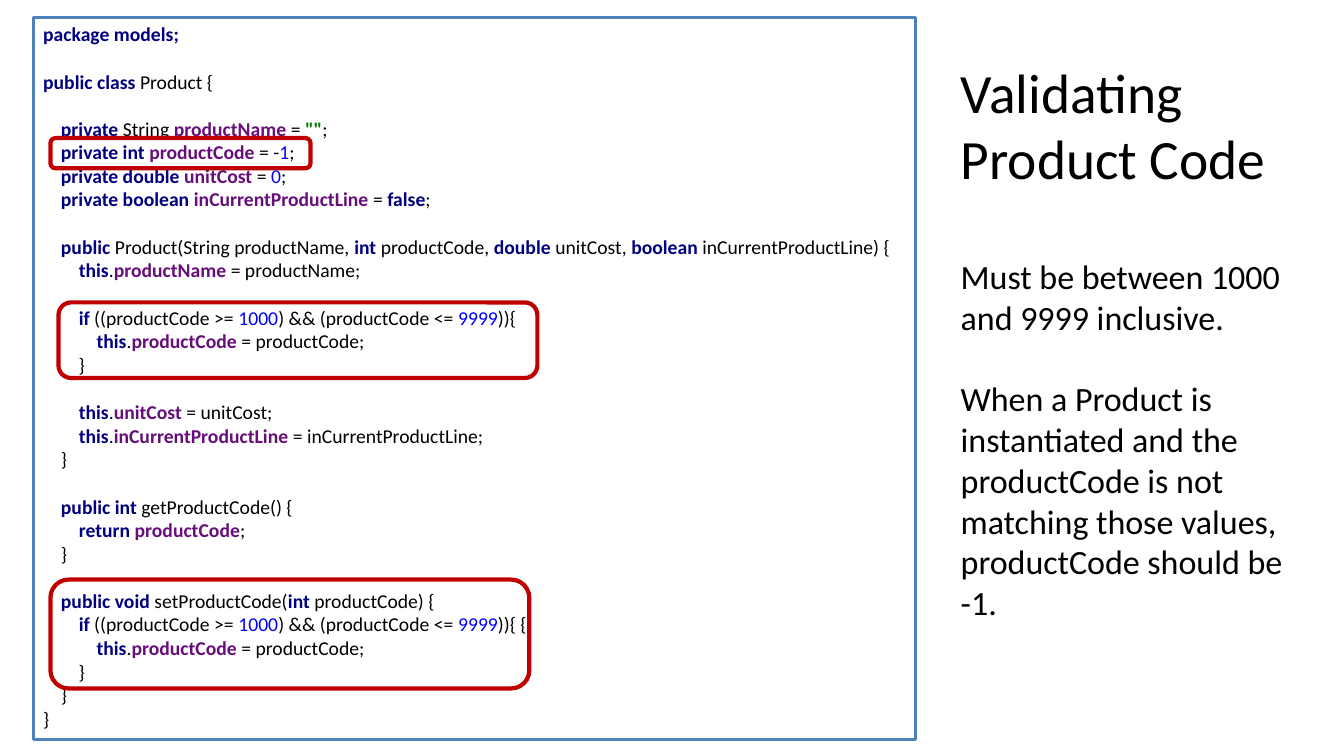
from pptx import Presentation
from pptx.dml.color import RGBColor
from pptx.enum.shapes import MSO_SHAPE
from pptx.enum.text import MSO_ANCHOR, PP_ALIGN
from pptx.util import Inches, Pt

RECT, ROUND = MSO_SHAPE.RECTANGLE, MSO_SHAPE.ROUNDED_RECTANGLE
TOP, MIDDLE = MSO_ANCHOR.TOP, MSO_ANCHOR.MIDDLE
LEFT = PP_ALIGN.LEFT
FONT = "Calibri"
COLORS = {"plain": "000000", "keyword": "000080", "field": "660E7A",
          "number": "0000FF", "string": "008000", "paper": "FFFFFF",
          "frame": "4F81BD", "mark": "C00000"}

# Each sign opens and closes a stretch of one style.
SIGNS = {"`": "keyword", "@": "field", "#": "number", "$": "string"}
BOLD = {"keyword", "field", "string"}

# Blocks of code, set apart by one empty line.
BLOCKS = [
    ["`package models;`"],
    ["`public class `Product {"],
    ['    `private `String @productName @= $""$;',
     "    `private int `@productCode @= -#1#;",
     "    `private double `@unitCost @= #0#;",
     "    `private boolean `@inCurrentProductLine @= `false`;"],
    ["    `public `Product(String productName, `int `productCode, "
     "`double `unitCost, `boolean `inCurrentProductLine) {",
     "        `this`.@productName @= productName;"],
    ["        `if `((productCode >= #1000#) && (productCode <= #9999#)){",
     "            `this`.@productCode @= productCode;",
     "        }"],
    ["        `this`.@unitCost @= unitCost;",
     "        `this`.@inCurrentProductLine @= inCurrentProductLine;",
     "    }"],
    ["    `public int `getProductCode() {",
     "        `return `@productCode@;",
     "    }"],
    ["    `public void `setProductCode(`int `productCode) {",
     "        `if `((productCode >= #1000#) && (productCode <= #9999#)){ {",
     "            `this`.@productCode @= productCode;",
     "        }",
     "    }",
     "}"],
]

# Left, top, width and height inside the code panel.
MARKS = [(0.25, 2.83, 4.75, 0.75), (0.17, 1.2, 2.58, 0.3),
         (0.17, 5.58, 4.75, 1.08)]


def color(name):
    return RGBColor.from_string(COLORS[name])


def split(line):
    """Return the (text, style) parts of a line of signed code."""
    parts, text, style = [], "", "plain"
    for char in line:
        if char in SIGNS:
            if text:
                parts.append((text, style))
            text = ""
            style = "plain" if style != "plain" else SIGNS[char]
        else:
            text += char
    return parts + [(text, style)] if text else parts


def write(frame, parts, size, gap=0):
    """Add one paragraph of (text, style) parts, filling an empty first one."""
    para = frame.paragraphs[0]
    if para.runs:
        para = frame.add_paragraph()
    para.alignment = LEFT
    para.space_before = Pt(gap)
    for text, style in parts:
        run = para.add_run()
        run.text = text
        font = run.font
        font.name, font.size = FONT, Pt(size)
        font.bold = style in BOLD
        font.color.rgb = color(style)


def outline(slide, kind, box, line, width, fill=None):
    shape = slide.shapes.add_shape(kind, *map(Inches, box))
    shape.shadow.inherit = False
    if fill:
        shape.fill.solid()
        shape.fill.fore_color.rgb = color(fill)
    else:
        shape.fill.background()
    shape.line.color.rgb = color(line)
    shape.line.width = Pt(width)
    return shape


def code_panel(slide, box):
    frame = outline(slide, RECT, box, "frame", 2, "paper").text_frame
    frame.word_wrap = True
    frame.vertical_anchor = TOP
    for i, block in enumerate(BLOCKS):
        for j, line in enumerate(block):
            write(frame, split(line), 14, 17 if i and not j else 0)
    for x, y, w, h in MARKS:
        outline(slide, ROUND, (box[0] + x, box[1] + y, w, h), "mark", 3)


def side_note(slide, box):
    frame = slide.shapes.add_textbox(*map(Inches, box)).text_frame
    frame.word_wrap = True
    frame.vertical_anchor = MIDDLE
    for text, size, gap in [
        ("Validating Product Code", 39.6, 0),
        ("Must be between 1000 and 9999 inclusive.", 24.3, 46),
        ("When a Product is instantiated and the productCode is not "
         "matching those values, productCode should be -1.", 24.3, 29),
    ]:
        write(frame, [(text, "plain")], size, gap)


def main():
    deck = Presentation()
    deck.slide_width, deck.slide_height = Inches(13.33), Inches(7.5)
    slide = deck.slides.add_slide(deck.slide_layouts[6])
    code_panel(slide, (0.33, 0.17, 8.75, 7.17))
    side_note(slide, (9.43, 2.75, 3.82, 1.25))
    deck.save("out.pptx")


if __name__ == "__main__":
    main()
